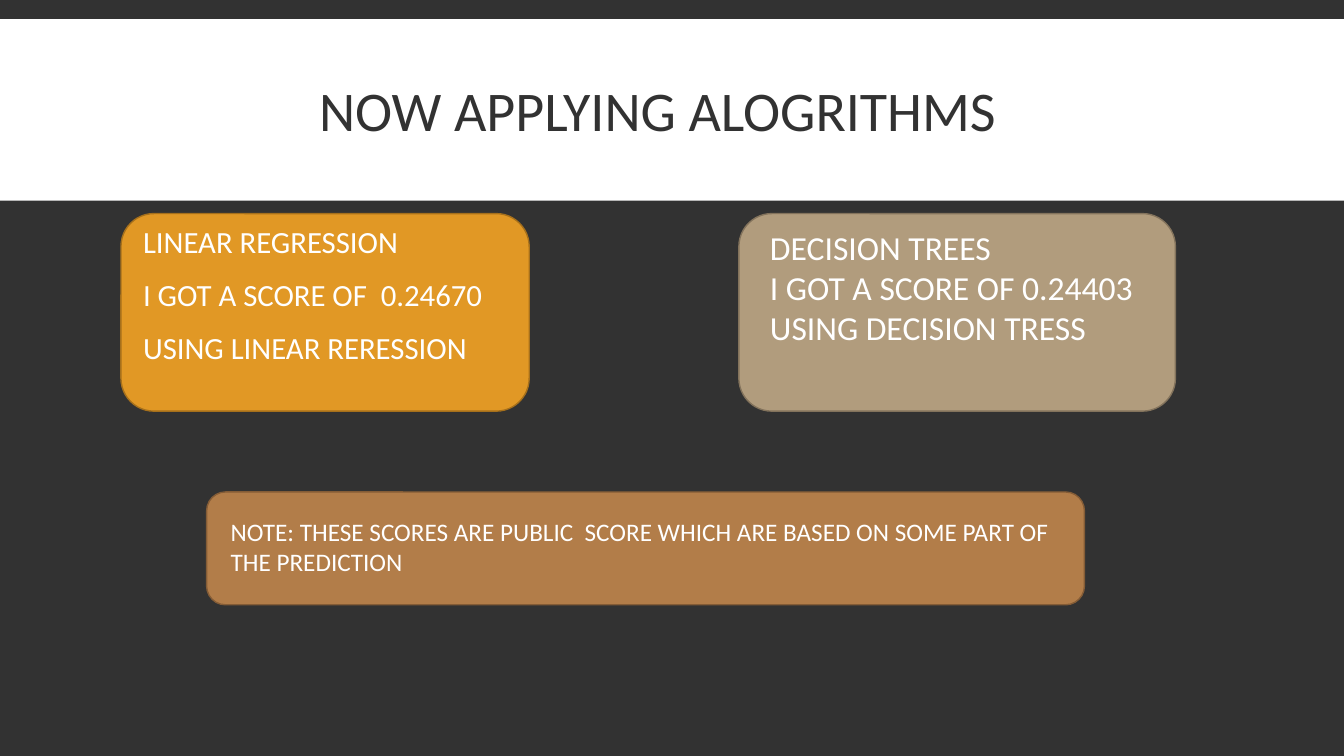
from dataclasses import dataclass

from lxml.etree import SubElement
from pptx import Presentation
from pptx.dml.color import RGBColor
from pptx.enum.shapes import MSO_SHAPE
from pptx.enum.text import MSO_ANCHOR, MSO_AUTO_SIZE, PP_ALIGN
from pptx.oxml.ns import qn
from pptx.shapes.base import BaseShape
from pptx.slide import Slide
from pptx.text.text import TextFrame
from pptx.util import Pt

DARK = "323232"
WHITE = "FFFFFF"


@dataclass
class Box:
    left: float
    top: float
    width: float
    height: float


@dataclass
class Card:
    box: Box
    fill: str
    edge: str


@dataclass
class Label:
    box: Box
    size: float
    lines: list[str]


CARDS = [
    Card(Box(147.6, 351.4, 627, 80.6), "B27D49", "845C36"),
    Card(Box(527.8, 152.6, 311.8, 141.1), "B19C7D", "83735C"),
    Card(Box(86.4, 152.6, 291.6, 141.1), "E19825", "A6701B"),
]
TITLE = Label(Box(95, 22.3, 770.4, 118.8), 40, ["NOW APPLYING ALOGRITHMS"])
BODY = Label(Box(95, 158.4, 365.8, 135.4), 22, [
    "LINEAR REGRESSION",
    "I GOT A SCORE OF  0.24670",
    "USING LINEAR RERESSION",
])
NOTES = [
    Label(Box(542.9, 158.4, 385.2, 94.3), 24, [
        "DECISION TREES",
        "I GOT A SCORE OF 0.24403",
        "USING DECISION TRESS",
    ]),
    Label(Box(157.7, 365, 617, 51.1), 18, [
        "NOTE: THESE SCORES ARE PUBLIC  SCORE WHICH ARE BASED ON SOME PART OF "
        "THE PREDICTION",
    ]),
]


def color(code: str) -> RGBColor:
    return RGBColor.from_string(code)


def spot(box: Box) -> tuple[Pt, Pt, Pt, Pt]:
    return Pt(box.left), Pt(box.top), Pt(box.width), Pt(box.height)


def place(shape: BaseShape, box: Box) -> None:
    shape.left, shape.top, shape.width, shape.height = spot(box)


def write(frame: TextFrame, label: Label, ink: str) -> None:
    frame.word_wrap = True
    frame.text = "\n".join(label.lines)
    for para in frame.paragraphs:
        para.alignment = PP_ALIGN.LEFT
        para.font.name = "Calibri"
        para.font.size = Pt(label.size)
        para.font.color.rgb = color(ink)


def draw(slide: Slide, kind: MSO_SHAPE, box: Box, fill: str) -> BaseShape:
    shape = slide.shapes.add_shape(kind, *spot(box))
    shape.shadow.inherit = False
    shape.fill.solid()
    shape.fill.fore_color.rgb = color(fill)
    shape.line.fill.background()
    return shape


def add_card(slide: Slide, card: Card) -> None:
    shape = draw(slide, MSO_SHAPE.ROUNDED_RECTANGLE, card.box, card.fill)
    shape.line.color.rgb = color(card.edge)
    shape.line.width = Pt(1)


def set_title(slide: Slide) -> None:
    title = slide.shapes.title
    slide.shapes.element.append(title.element)
    place(title, TITLE.box)
    frame = title.text_frame
    write(frame, TITLE, DARK)
    frame.auto_size = MSO_AUTO_SIZE.NONE
    frame.vertical_anchor = MSO_ANCHOR.MIDDLE
    frame.margin_left = Pt(133)
    frame.paragraphs[0].line_spacing = 0.85


def set_body(slide: Slide) -> None:
    body = slide.placeholders[1]
    slide.shapes.element.append(body.element)
    place(body, BODY.box)
    frame = body.text_frame
    frame.text = "\n".join(BODY.lines)
    write(frame, BODY, WHITE)
    frame.auto_size = MSO_AUTO_SIZE.NONE
    for para in frame.paragraphs:
        para.line_spacing = 0.9
        para.space_before = Pt(12)
        para.space_after = Pt(2)
        props = para._p.get_or_add_pPr()
        props.set("marL", "0")
        props.set("indent", "0")
        mark = SubElement(props, qn("a:buNone"))
        props.find(qn("a:defRPr")).addprevious(mark)


def add_note(slide: Slide, label: Label) -> None:
    frame = slide.shapes.add_textbox(*spot(label.box)).text_frame
    write(frame, label, WHITE)
    frame.auto_size = MSO_AUTO_SIZE.SHAPE_TO_FIT_TEXT


def main() -> None:
    """Build the slide of model scores and save it."""
    deck = Presentation()
    deck.slide_width, deck.slide_height = Pt(960), Pt(540)
    slide = deck.slides.add_slide(deck.slide_layouts[1])
    back = slide.background.fill
    back.solid()
    back.fore_color.rgb = color(DARK)
    draw(slide, MSO_SHAPE.RECTANGLE, Box(0, 13.7, 960, 129.6), WHITE)
    for card in CARDS:
        add_card(slide, card)
    set_title(slide)
    set_body(slide)
    for note in NOTES:
        add_note(slide, note)
    deck.save("out.pptx")


if __name__ == "__main__":
    main()
